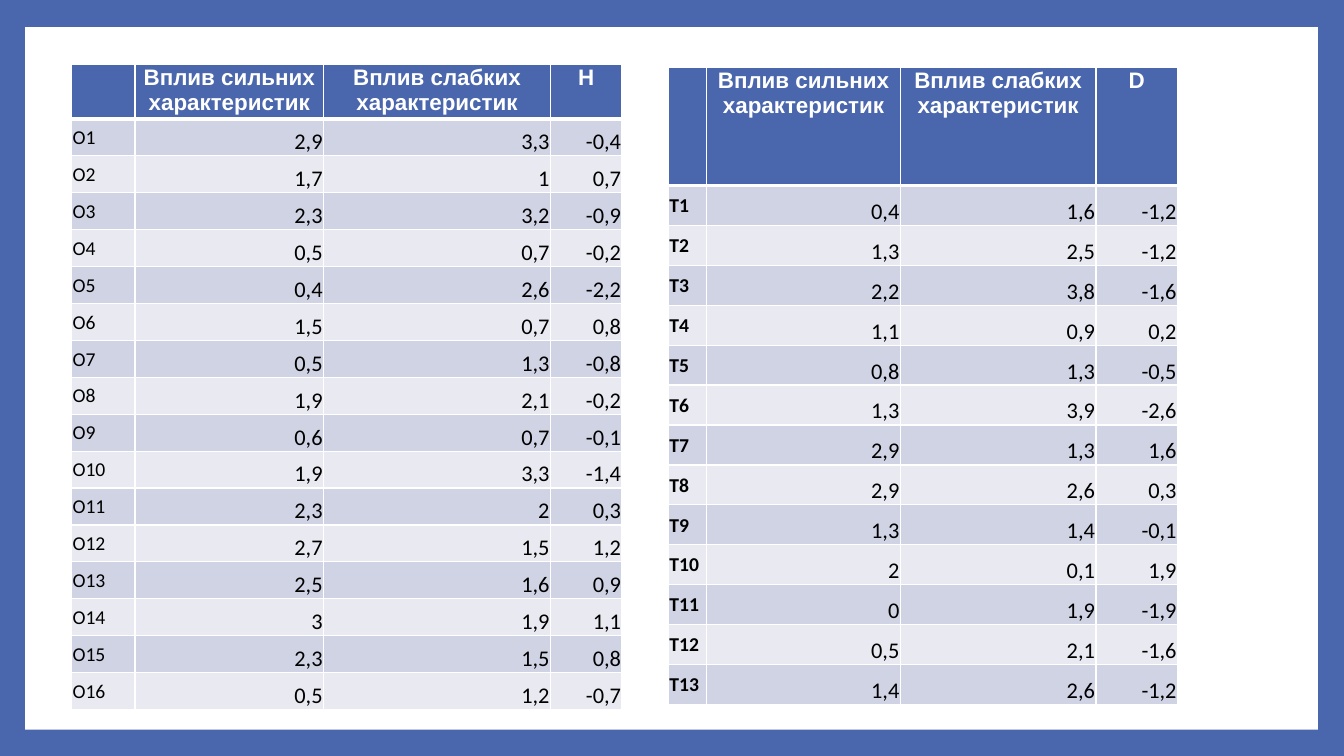
from dataclasses import dataclass

import pptx
import pptx.dml.color
import pptx.enum.shapes
import pptx.enum.text
import pptx.oxml
import pptx.oxml.ns
import pptx.util
from pptx.util import Inches


@dataclass(frozen=True)
class Theme:
    blue: str = "4A66AC"
    white: str = "FFFFFF"
    black: str = "000000"
    bands: tuple = ("D0D3E3", "E9EAF1")
    header_font: str = "Arial"
    body_font: str = "Calibri"
    value_size: int = 16
    label_size: int = 14
    thin: int = 1
    thick: int = 3


THEME = Theme()
COLOR = pptx.dml.color.RGBColor.from_string
ALIGN = pptx.enum.text.PP_ALIGN
ANCHOR = pptx.enum.text.MSO_ANCHOR


def format_cell(cell, fill, top, bottom):
    """Set insets, white borders (top and bottom widths in points) and fill."""
    cell.margin_left = cell.margin_right = cell.margin_top = Inches(0.01)
    cell.margin_bottom = 0
    properties = cell._tc.get_or_add_tcPr()
    sides = {"L": THEME.thin, "R": THEME.thin, "T": top, "B": bottom}
    for side, width in sides.items():
        properties.append(pptx.oxml.parse_xml(
            f'<a:ln{side} {pptx.oxml.ns.nsdecls("a")} w="{pptx.util.Pt(width)}">'
            f'<a:solidFill><a:srgbClr val="{THEME.white}"/></a:solidFill></a:ln{side}>'))
    cell.fill.solid()
    cell.fill.fore_color.rgb = COLOR(fill)


def write_cell(cell, text, size, font, color, bold, align, anchor):
    cell.vertical_anchor = anchor
    paragraph = cell.text_frame.paragraphs[0]
    paragraph.alignment = align
    run = paragraph.add_run()
    run.text = text
    run.font.size = pptx.util.Pt(size)
    run.font.name = font
    run.font.bold = bold
    run.font.color.rgb = COLOR(color)


opportunities = [
    ("2,9", "3,3", "-0,4"), ("1,7", "1", "0,7"), ("2,3", "3,2", "-0,9"),
    ("0,5", "0,7", "-0,2"), ("0,4", "2,6", "-2,2"), ("1,5", "0,7", "0,8"),
    ("0,5", "1,3", "-0,8"), ("1,9", "2,1", "-0,2"), ("0,6", "0,7", "-0,1"),
    ("1,9", "3,3", "-1,4"), ("2,3", "2", "0,3"), ("2,7", "1,5", "1,2"),
    ("2,5", "1,6", "0,9"), ("3", "1,9", "1,1"), ("2,3", "1,5", "0,8"),
    ("0,5", "1,2", "-0,7"),
]
threats = [
    ("0,4", "1,6", "-1,2"), ("1,3", "2,5", "-1,2"), ("2,2", "3,8", "-1,6"),
    ("1,1", "0,9", "0,2"), ("0,8", "1,3", "-0,5"), ("1,3", "3,9", "-2,6"),
    ("2,9", "1,3", "1,6"), ("2,9", "2,6", "0,3"), ("1,3", "1,4", "-0,1"),
    ("2", "0,1", "1,9"), ("0", "1,9", "-1,9"), ("0,5", "2,1", "-1,6"),
    ("1,4", "2,6", "-1,2"),
]
# label letter, last heading, bold labels, left, top, height, header height, widths, values
tables = [
    ("O", "H", False, 0.71, 0.64, 6.4, 0.54, (0.63, 1.87, 2.25, 0.71), opportunities),
    ("T", "D", True, 6.63, 0.67, 6.32, 1.17, (0.38, 1.92, 1.94, 0.81), threats),
]

presentation = pptx.Presentation()
presentation.slide_width = Inches(13.33)
presentation.slide_height = Inches(7.5)
slide = presentation.slides.add_slide(presentation.slide_layouts[6])
slide.background.fill.solid()
slide.background.fill.fore_color.rgb = COLOR(THEME.blue)

panel = slide.shapes.add_shape(
    pptx.enum.shapes.MSO_SHAPE.RECTANGLE,
    Inches(0.25), Inches(0.27), Inches(12.82), Inches(6.97))
panel.shadow.inherit = False
panel.fill.solid()
panel.fill.fore_color.rgb = COLOR(THEME.white)
panel.line.fill.background()

for letter, last_heading, bold_labels, left, top, height, header_height, widths, values in tables:
    table = slide.shapes.add_table(
        len(values) + 1, len(widths), Inches(left), Inches(top),
        Inches(sum(widths)), Inches(height)).table
    table.horz_banding = False
    for column, width in zip(table.columns, widths):
        column.width = Inches(width)
    for row in table.rows:
        row.height = Inches((height - header_height) / len(values))
    table.rows[0].height = Inches(header_height)

    headings = ("", "Вплив сильних характеристик", "Вплив слабких характеристик", last_heading)
    for column_index, heading in enumerate(headings):
        cell = table.cell(0, column_index)
        format_cell(cell, THEME.blue, THEME.thin, THEME.thick)
        if heading:
            write_cell(cell, heading, THEME.value_size, THEME.header_font, THEME.white,
                       True, ALIGN.CENTER, ANCHOR.TOP)

    for row_index, row_values in enumerate(values, start=1):
        top_border = THEME.thick if row_index == 1 else THEME.thin
        for column_index, text in enumerate((f"{letter}{row_index}", *row_values)):
            cell = table.cell(row_index, column_index)
            format_cell(cell, THEME.bands[(row_index - 1) % 2], top_border, THEME.thin)
            if column_index == 0:
                write_cell(cell, text, THEME.label_size, THEME.body_font, THEME.black,
                           bold_labels, ALIGN.LEFT, ANCHOR.MIDDLE)
            else:
                write_cell(cell, text, THEME.value_size, THEME.body_font, THEME.black,
                           False, ALIGN.RIGHT, ANCHOR.BOTTOM)

presentation.save("out.pptx")
